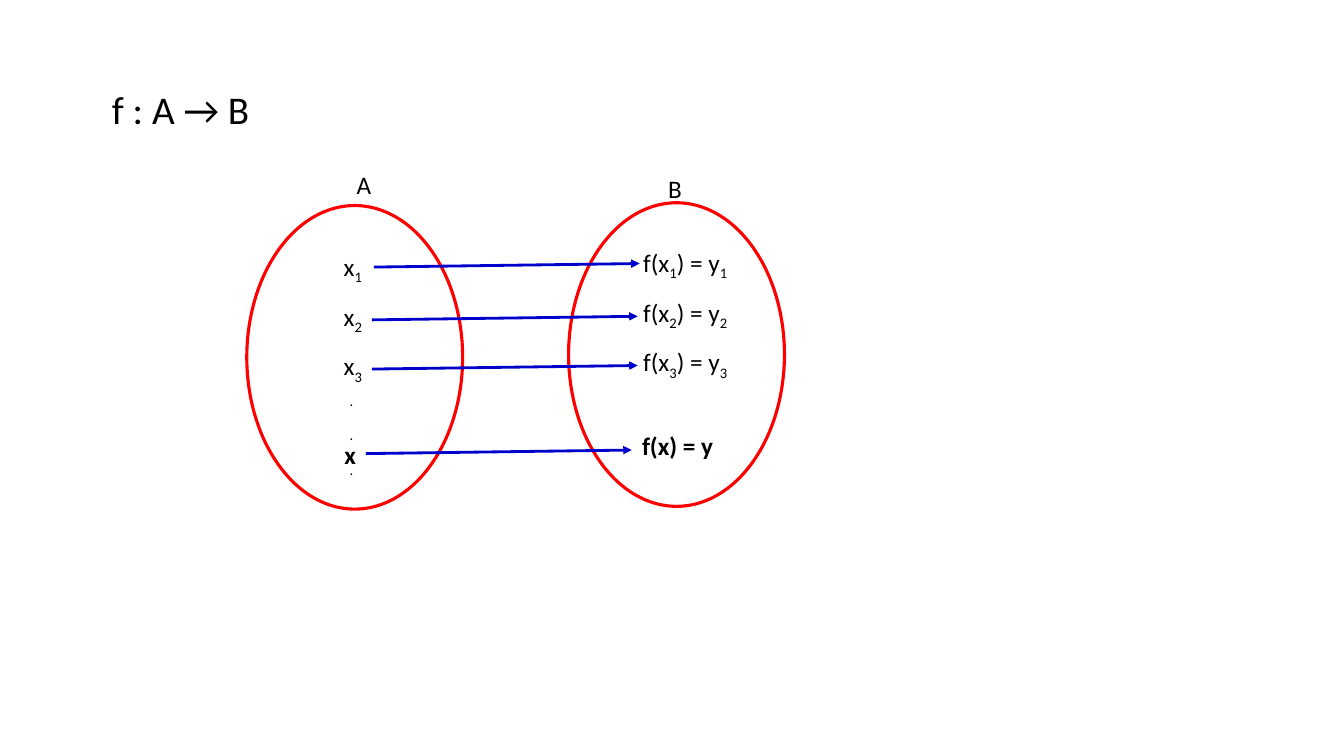
import pptx
import pptx.dml.color
import pptx.enum.shapes
import pptx.enum.text
import pptx.oxml
import pptx.oxml.ns
import pptx.util

Cm = pptx.util.Cm
Pt = pptx.util.Pt

COLORS = {"text": "000000", "set": "FF0000", "arrow": "0000CC"}


def color(name):
    return pptx.dml.color.RGBColor.from_string(COLORS[name])


def add_element(parent, tag, **attributes):
    element = pptx.oxml.parse_xml(f"<{tag} {pptx.oxml.ns.nsdecls('a')}/>")
    for name, value in attributes.items():
        element.set(name, value)
    parent.append(element)


class MappingSlide:
    font_name = "Calibri"
    label_size = 18

    def __init__(self, presentation):
        self.slide = presentation.slides.add_slide(presentation.slide_layouts[1])
        self.shapes = self.slide.shapes

    def style(self, paragraph, size, bold=False):
        paragraph.font.name = self.font_name
        paragraph.font.size = Pt(size)
        paragraph.font.bold = bold
        paragraph.font.color.rgb = color("text")

    def heading(self, text, left, top, width, height):
        title = self.shapes.title
        title.element.getparent().remove(title.element)
        body = self.slide.placeholders[1]
        body.left, body.top, body.width, body.height = map(Cm, (left, top, width, height))
        frame = body.text_frame
        frame.auto_size = pptx.enum.text.MSO_AUTO_SIZE.NONE
        frame.vertical_anchor = pptx.enum.text.MSO_ANCHOR.TOP
        frame.margin_left = Cm(0.48)
        paragraph = frame.paragraphs[0]
        paragraph.text = text
        paragraph.line_spacing = 0.9
        paragraph.space_before = Pt(0)
        properties = paragraph._p.get_or_add_pPr()
        properties.set("marL", "0")
        properties.set("indent", "0")
        add_element(properties, "a:buNone")
        self.style(paragraph, 28)

    def ellipse(self, left, top, width, height):
        shape = self.shapes.add_shape(
            pptx.enum.shapes.MSO_SHAPE.OVAL, Cm(left), Cm(top), Cm(width), Cm(height))
        shape.shadow.inherit = False
        shape.fill.background()
        shape.line.color.rgb = color("set")
        shape.line.width = Pt(2.25)

    def label(self, lines, left, top, width, height=1.02, bold=False):
        """Each line is a list of pieces; every second piece is a subscript."""
        box = self.shapes.add_textbox(Cm(left), Cm(top), Cm(width), Cm(height))
        frame = box.text_frame
        frame.word_wrap = True
        for index, pieces in enumerate(lines):
            paragraph = frame.add_paragraph() if index else frame.paragraphs[0]
            self.style(paragraph, self.label_size, bold)
            for position, piece in enumerate(pieces):
                if piece:
                    run = paragraph.add_run()
                    run.text = piece
                    if position % 2:
                        run._r.get_or_add_rPr().set("baseline", "-25000")

    def arrow(self, left, top, length=6.7, rise=0.09):
        line = self.shapes.add_connector(
            pptx.enum.shapes.MSO_CONNECTOR.STRAIGHT,
            Cm(left), Cm(top), Cm(left + length), Cm(top - rise))
        line.line.color.rgb = color("arrow")
        line.line.width = Pt(2)
        add_element(line.line._get_or_add_ln(), "a:tailEnd", type="triangle")
        add_element(line._element.spPr, "a:effectLst")


def main():
    presentation = pptx.Presentation()
    presentation.slide_width = Cm(33.87)
    presentation.slide_height = Cm(19.05)
    mapping = MappingSlide(presentation)

    # Heading
    mapping.heading("f : A → B", 2.34, 2.16, 29.21, 14.76)

    # The two sets with their names
    for left, top in ((6.22, 5.18), (14.33, 5.11)):
        mapping.ellipse(left, top, 5.44, 7.65)
    mapping.label([["A"]], 8.74, 4.14, 1.07)
    mapping.label([["B"]], 16.59, 4.24, 1.07)

    # Numbered elements, their images and the arrows between them
    rows = ((6.2, 9.42, 6.73), (7.47, 9.37, 8.06), (8.71, 9.37, 9.3))
    for number, (top, arrow_left, arrow_top) in enumerate(rows, start=1):
        index = str(number)
        mapping.label([["x", index]], 8.41, top, 1.4)
        mapping.label([["f(x", index, ") = y", index]], 15.96, top - 0.1, 3.5)
        mapping.arrow(arrow_left, arrow_top)

    # Dots and the general element
    mapping.label([["", "."]] * 3, 8.56, 9.32, 0.94, 1.8)
    mapping.label([["x"]], 8.43, 10.95, 1.4, bold=True)
    mapping.label([["f(x) = y"]], 15.93, 10.72, 3.35, bold=True)
    mapping.arrow(9.22, 11.43)

    presentation.save("out.pptx")


if __name__ == "__main__":
    main()
